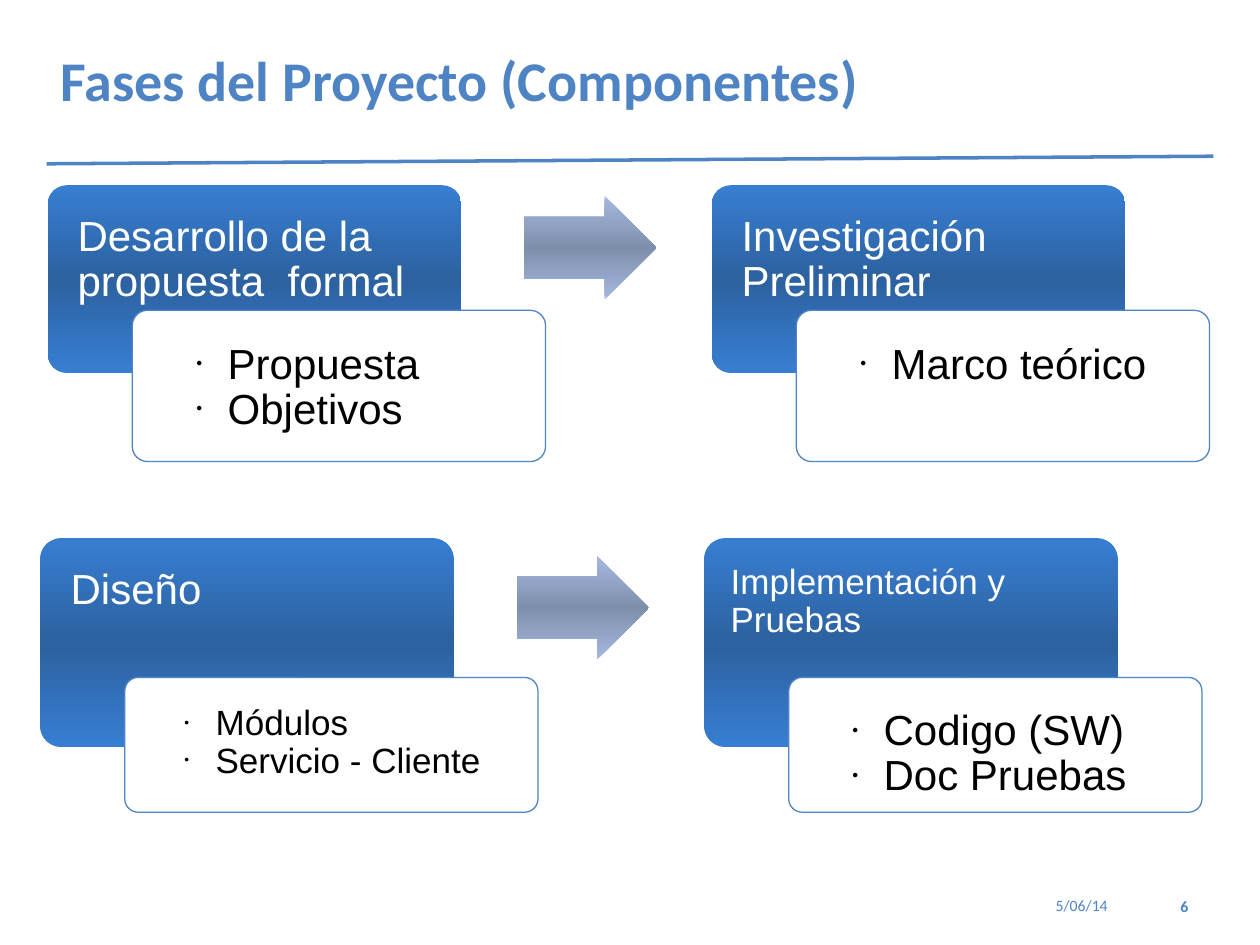
from copy import deepcopy

from lxml.etree import SubElement
from pptx import Presentation
from pptx.dml.color import RGBColor
from pptx.enum.shapes import MSO_CONNECTOR, MSO_SHAPE
from pptx.enum.text import MSO_ANCHOR, PP_ALIGN
from pptx.oxml.ns import qn
from pptx.util import Inches, Pt

COLORS = {
    "accent": "4E84C4", "white": "FFFFFF", "black": "000000",
    "box_edge": "377ED2", "box_mid": "2D619F",
    "arrow_edge": "A5B8E0", "arrow_mid": "7F8FAA",
}
BOX_W = 3.28
COLUMN_STEP = 5.27
ARROW_DX, ARROW_W, ARROW_H = 3.78, 1.05, 0.82

# left, top, heading height, detail height, phases (heading, size, details, size)
ROWS = [
    (0.38, 1.47, 1.49, 1.2, [
        ("Desarrollo de la propuesta  formal", 24, ["Propuesta", "Objetivos"], 24),
        ("Investigación Preliminar", 24, ["Marco teórico"], 24)]),
    (0.32, 4.27, 1.66, 1.07, [
        ("Diseño", 24, ["Módulos", "Servicio - Cliente"], 20),
        ("Implementación y Pruebas", 20, ["Codigo (SW)", "Doc Pruebas"], 24)]),
]


def rgb(name):
    return RGBColor.from_string(COLORS[name])


def style_runs(p, size, font, color, bold=False):
    for r in p.runs:
        r.font.size, r.font.name, r.font.bold = Pt(size), font, bold
        r.font.color.rgb = rgb(color)


def set_insets(tf, left, top, right, bottom):
    tf.margin_left, tf.margin_top = Inches(left), Inches(top)
    tf.margin_right, tf.margin_bottom = Inches(right), Inches(bottom)


def fill_band(sp, edge, mid):
    """Vertical gradient with the mid colour halfway between two equal edges."""
    sp.fill.gradient()
    sp.fill.gradient_angle = 270
    first = sp.fill._fill._gradFill.gsLst[0]
    first.addnext(deepcopy(first))
    for stop, pos, color in zip(sp.fill.gradient_stops, (0, 0.5, 1), (edge, mid, edge)):
        stop.position = pos
        stop.color.rgb = rgb(color)


def add_shape(s, kind, x, y, w, h, adjustments):
    sp = s.shapes.add_shape(kind, Inches(x), Inches(y), Inches(w), Inches(h))
    sp.shadow.inherit = False
    for i, value in enumerate(adjustments):
        sp.adjustments[i] = value
    sp.line.fill.background()
    return sp


def add_bullet(p):
    pPr = p._p.get_or_add_pPr()
    pPr.set("marL", str(Inches(0.5)))
    pPr.set("indent", str(Inches(-0.25)))
    SubElement(pPr, qn("a:buSzPct")).set("val", "25000")
    SubElement(pPr, qn("a:buFont")).set("typeface", "Arial")
    SubElement(pPr, qn("a:buChar")).set("char", "●")


def add_card_text(sp, lines, size, color, bulleted=False):
    tf = sp.text_frame
    tf.word_wrap = True
    tf.vertical_anchor = MSO_ANCHOR.TOP
    pad = size * 0.008
    lead = pad + 0.03 if bulleted else pad
    set_insets(tf, lead, lead, pad, pad if bulleted else pad / 2)
    tf.text = "\n".join(lines)
    for p in tf.paragraphs:
        p.alignment = PP_ALIGN.LEFT
        p.line_spacing = 0.9
        if bulleted:
            p.level = 1
            add_bullet(p)
        style_runs(p, size, "Arial", color)


def add_phase(s, x, y, heading_h, detail_h, phase):
    """Gradient heading card, overlapped from two thirds down by its details."""
    heading, heading_size, details, detail_size = phase
    card = add_shape(s, MSO_SHAPE.ROUNDED_RECTANGLE, x, y, BOX_W, heading_h, [0.1])
    fill_band(card, "box_edge", "box_mid")
    add_card_text(card, [heading], heading_size, "white")

    detail = add_shape(s, MSO_SHAPE.ROUNDED_RECTANGLE, x + 0.67,
                       y + heading_h * 2 / 3, BOX_W, detail_h, [0.1])
    detail.fill.solid()
    detail.fill.fore_color.rgb = rgb("white")
    detail.line.color.rgb = rgb("accent")
    detail.line.width = Pt(0.75)
    add_card_text(detail, details, detail_size, "black", bulleted=True)


def add_phase_row(s, x, y, heading_h, detail_h, phases):
    for i, phase in enumerate(phases):
        left = x + i * COLUMN_STEP
        if i:
            arrow = add_shape(s, MSO_SHAPE.RIGHT_ARROW, left - COLUMN_STEP + ARROW_DX,
                              y + heading_h / 3 - ARROW_H / 2, ARROW_W, ARROW_H, [0.6, 0.5])
            fill_band(arrow, "arrow_edge", "arrow_mid")
        add_phase(s, left, y, heading_h, detail_h, phase)


def add_header(s):
    title = s.shapes.title
    title.left, title.top = Inches(0.38), Inches(0.3)
    title.width, title.height = Inches(9.23), Inches(0.65)
    tf = title.text_frame
    tf.text = "Fases del Proyecto (Componentes)"
    tf.vertical_anchor = MSO_ANCHOR.MIDDLE
    tf.paragraphs[0].alignment = PP_ALIGN.LEFT
    style_runs(tf.paragraphs[0], 32, "Calibri", "accent", bold=True)

    rule = s.shapes.add_connector(MSO_CONNECTOR.STRAIGHT, Inches(0.37), Inches(1.3),
                                  Inches(9.63), Inches(1.24))
    rule.line.color.rgb = rgb("accent")
    rule.line.width = Pt(2)
    SubElement(rule._element.spPr, qn("a:effectLst"))


def add_footer_text(s, text, x, y, w, h, align, bold=False):
    tf = s.shapes.add_textbox(Inches(x), Inches(y), Inches(w), Inches(h)).text_frame
    tf.word_wrap = True
    set_insets(tf, 0.1, 0.05, 0.1, 0.05)
    tf.text = text
    tf.paragraphs[0].alignment = align
    style_runs(tf.paragraphs[0], 9, "Calibri", "accent", bold)


def main():
    prs = Presentation()
    prs.slide_width, prs.slide_height = Inches(10), Inches(7.5)
    s = prs.slides.add_slide(prs.slide_layouts[5])
    add_header(s)
    for row in ROWS:
        add_phase_row(s, *row)
    add_footer_text(s, "5/06/14", 7.35, 7.06, 1.54, 0.35, PP_ALIGN.RIGHT)
    add_footer_text(s, "6", 9.27, 7.07, 0.42, 0.29, PP_ALIGN.LEFT, bold=True)
    prs.save("out.pptx")


if __name__ == "__main__":
    main()
